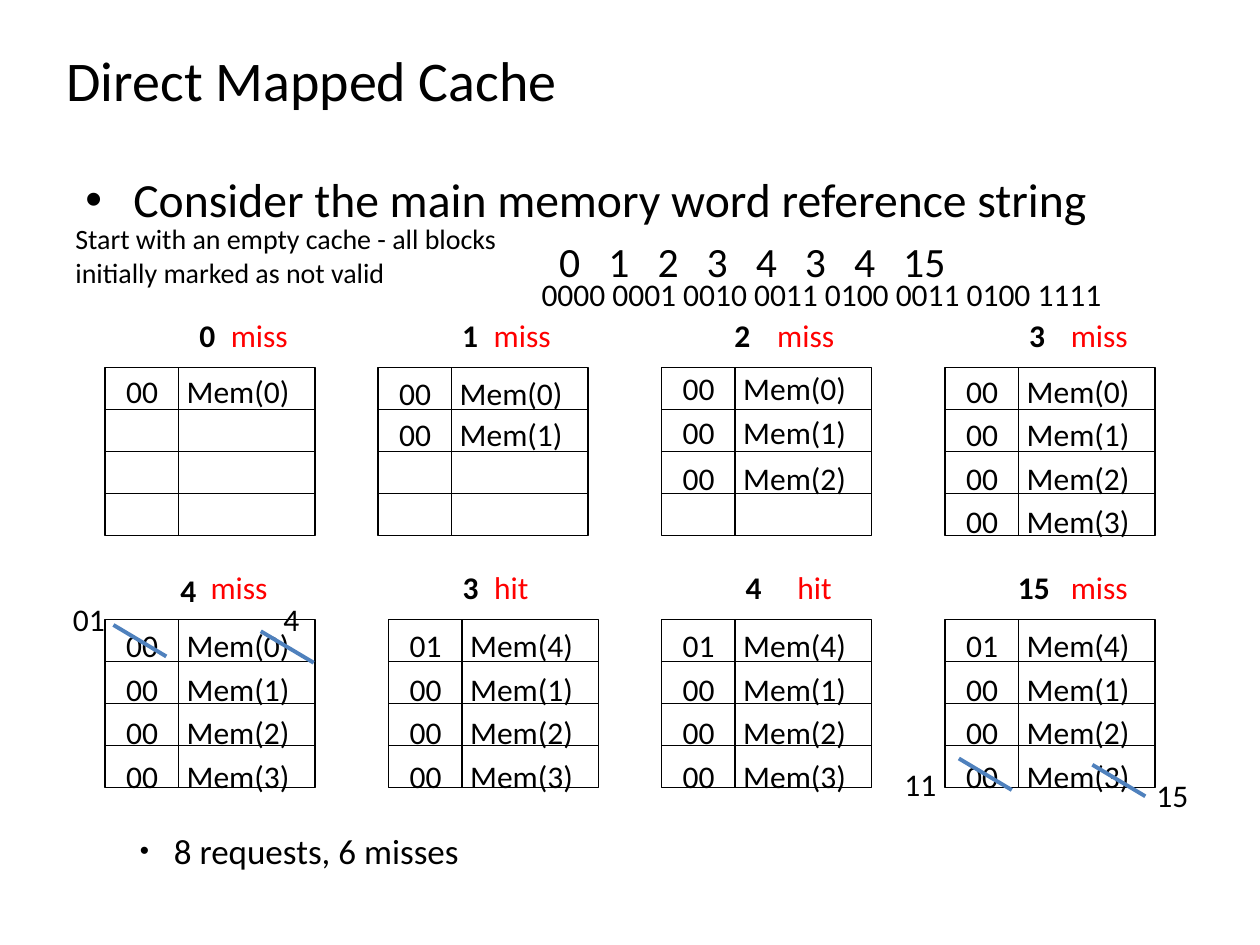
import lxml.etree
import pptx
import pptx.dml.color
import pptx.enum.dml
import pptx.enum.shapes
import pptx.enum.text
import pptx.oxml.ns
import pptx.util

THEME = {
    "font": "Calibri",
    "ink": "000000", "alert": "FF0000", "strike": "4F81BD",
    "title": 32, "lead": 27.2, "sequence": 23.8, "summary": 20, "note": 16, "body": 18,
    "grid_line": 1, "strike_line": 2.25,
}
UNIT = 1 / 12
TAG_WIDTH, DATA_WIDTH, ROW_HEIGHT, ROWS = 7 * UNIT, 13 * UNIT, 4 * UNIT, 4
TOP_ROW, BOTTOM_ROW = 35, 59
DATA_TAB = 0.48
SEQUENCE_START, SEQUENCE_STEP = 3.76, 0.39

TITLE = "Direct Mapped Cache"
LEAD = "Consider the main memory word reference string"
SEQUENCE = [0, 1, 2, 3, 4, 3, 4, 15]
NOTE = "Start with an empty cache - all blocks initially marked as not valid"
SUMMARY = "8 requests, 6 misses"

AFTER_FOUR = [("01", 4), ("00", 1), ("00", 2), ("00", 3)]
FIRST_FOUR = [("00", word) for word in range(4)]
# columns: grid column, grid row, (address, x, y), (outcome, x), [(y, entries)]
CACHES = [
    (10, TOP_ROW, ("0", 0.65, -0.46), ("miss", 0.9), [(-0.06, FIRST_FOUR[:1])]),
    (36, TOP_ROW, ("1", 0.57, -0.46), ("miss", 0.82),
     [(-0.04, FIRST_FOUR[:1]), (0.28, FIRST_FOUR[1:2])]),
    (63, TOP_ROW, ("2", 0.48, -0.46), ("miss", 0.82),
     [(-0.08, FIRST_FOUR[:2]), (0.63, FIRST_FOUR[2:3])]),
    (90, TOP_ROW, ("3", 0.57, -0.46), ("miss", 0.9),
     [(-0.06, FIRST_FOUR[:3]), (0.97, FIRST_FOUR[3:])]),
    (10, BOTTOM_ROW, ("4", 0.5, -0.43), ("miss", 0.74), [(-0.04, FIRST_FOUR)]),
    (37, BOTTOM_ROW, ("3", 0.49, -0.46), ("hit", 0.74), [(-0.04, AFTER_FOUR)]),
    (63, BOTTOM_ROW, ("4", 0.57, -0.46), ("hit", 0.98), [(-0.04, AFTER_FOUR)]),
    (90, BOTTOM_ROW, ("15", 0.48, -0.46), ("miss", 0.9), [(-0.04, AFTER_FOUR)]),
]
STRIKES = [(0.9, 4.96), (2.07, 5.01), (7.61, 6.02), (8.67, 6.07)]
STRIKE_SIZE = (0.42, 0.25)
REPLACEMENTS = [("01", 0.48, 4.71), ("4", 2.15, 4.71), ("11", 7.08, 6.02), ("15", 9.08, 6.11)]

inches = pptx.util.Inches
deck = pptx.Presentation()
deck.slide_width, deck.slide_height = inches(10), inches(7.5)
page = deck.slides.add_slide(deck.slide_layouts[6])


def color(name):
    return pptx.dml.color.RGBColor.from_string(THEME[name])


def apply(target, values):
    for name, value in values.items():
        setattr(target, name, value)


def add_text(lines, left, top, width, height, size="body", ink="ink", bold=False,
             wrap=False, tabs=(), spacing=None, bullet=None, **frame_format):
    box = page.shapes.add_textbox(*map(inches, (left, top, width, height)))
    apply(box.text_frame, {"word_wrap": wrap, **frame_format})
    for index, line in enumerate(lines):
        para = box.text_frame.paragraphs[0] if index == 0 else box.text_frame.add_paragraph()
        span = para.add_run()
        span.text = line
        if bullet:
            add_bullet(para, *bullet)
        if tabs:
            add_tabs(para, tabs)
        if spacing:
            para.line_spacing = spacing
        style_font(span, size, ink, bold)
    return box


def style_font(span, size, ink="ink", bold=False):
    apply(span.font, {"name": THEME["font"], "size": pptx.util.Pt(THEME[size]), "bold": bold})
    span.font.color.rgb = color(ink)


def add_child(parent, tag, **attributes):
    child = lxml.etree.SubElement(parent, pptx.oxml.ns.qn(tag))
    for name, value in attributes.items():
        child.set(name, str(value))
    return child


def add_bullet(para, margin, hanging, percent):
    properties = para._p.get_or_add_pPr()
    properties.set("marL", str(inches(margin)))
    properties.set("indent", str(inches(-hanging)))
    add_child(properties, "a:buSzPct", val=percent * 1000)
    add_child(properties, "a:buFont", typeface="Arial")
    add_child(properties, "a:buChar", char="•")


def add_tabs(para, stops):
    tab_list = add_child(para._p.get_or_add_pPr(), "a:tabLst")
    for stop in stops:
        add_child(tab_list, "a:tab", pos=inches(stop), algn="l")


def add_line(start, end, ink="ink", weight="grid_line"):
    line = page.shapes.add_connector(
        pptx.enum.shapes.MSO_CONNECTOR.STRAIGHT, *map(inches, (*start, *end)))
    line.line.color.rgb = color(ink)
    line.line.width = pptx.util.Pt(THEME[weight])
    add_child(line._element.spPr, "a:effectLst")
    return line


def add_column(left, top, width):
    column = page.shapes.add_shape(
        pptx.enum.shapes.MSO_SHAPE.RECTANGLE,
        *map(inches, (left, top, width, ROWS * ROW_HEIGHT)))
    column.shadow.inherit = False
    column.fill.background()
    column.line.color.rgb = color("ink")
    column.line.width = pptx.util.Pt(THEME["grid_line"])
    for row in range(1, ROWS):
        y = top + row * ROW_HEIGHT
        divider = add_line((left, y), (left + width, y))
        if 2 * row == ROWS:
            divider.begin_connect(column, 1)
            divider.end_connect(column, 3)


add_text([TITLE], 0.43, 0, 9, 1.25, "title", wrap=True,
         vertical_anchor=pptx.enum.text.MSO_ANCHOR.MIDDLE)

lead = add_text([LEAD], 0.58, 1.3, 8.58, 0.89, "lead", wrap=True, bullet=(0.38, 0.38, 100))
sequence = lead.text_frame.add_paragraph()
sequence.space_before = pptx.util.Pt(5)
add_tabs(sequence, [SEQUENCE_START + SEQUENCE_STEP * step for step in range(len(SEQUENCE))])
words = sequence.add_run()
words.text = "".join(f"\t{word}" for word in SEQUENCE)
style_font(words, "sequence")

add_text([NOTE], 0.5, 1.71, 3.75, 0.64, "note", wrap=True)
add_text([" ".join(f"{word:04b}" for word in SEQUENCE)], 4.2, 2.13, 4.7, 0.4)

for column, row, (address, address_x, address_y), (outcome, outcome_x), blocks in CACHES:
    left, top = column * UNIT, row * UNIT
    add_column(left, top, TAG_WIDTH)
    add_column(left + TAG_WIDTH, top, DATA_WIDTH)
    add_text([address], left + address_x, top + address_y,
             0.2 + 0.14 * len(address), 0.4, bold=True)
    add_text([outcome], left + outcome_x, top - 0.46,
             0.66 if outcome == "miss" else 0.48, 0.4, ink="alert")
    for offset, entries in blocks:
        add_text([f"{tag}\tMem({word})" for tag, word in entries],
                 left + 0.07, top + offset, 1.62, 0.1 + 0.345 * len(entries),
                 wrap=True, tabs=[DATA_TAB], spacing=1.15)

for x, y in STRIKES:
    add_line((x, y), (x + STRIKE_SIZE[0], y + STRIKE_SIZE[1]), "strike", "strike_line")
for label, x, y in REPLACEMENTS:
    add_text([label], x, y, 0.2 + 0.14 * len(label), 0.4)

add_text([SUMMARY], 0.5, 6.55, 8.92, 0.39, "summary", wrap=True, bullet=(0.81, 0.27, 75),
         margin_left=inches(0.07), margin_right=inches(0.07),
         margin_top=inches(0.03), margin_bottom=inches(0.03))

deck.save("out.pptx")
